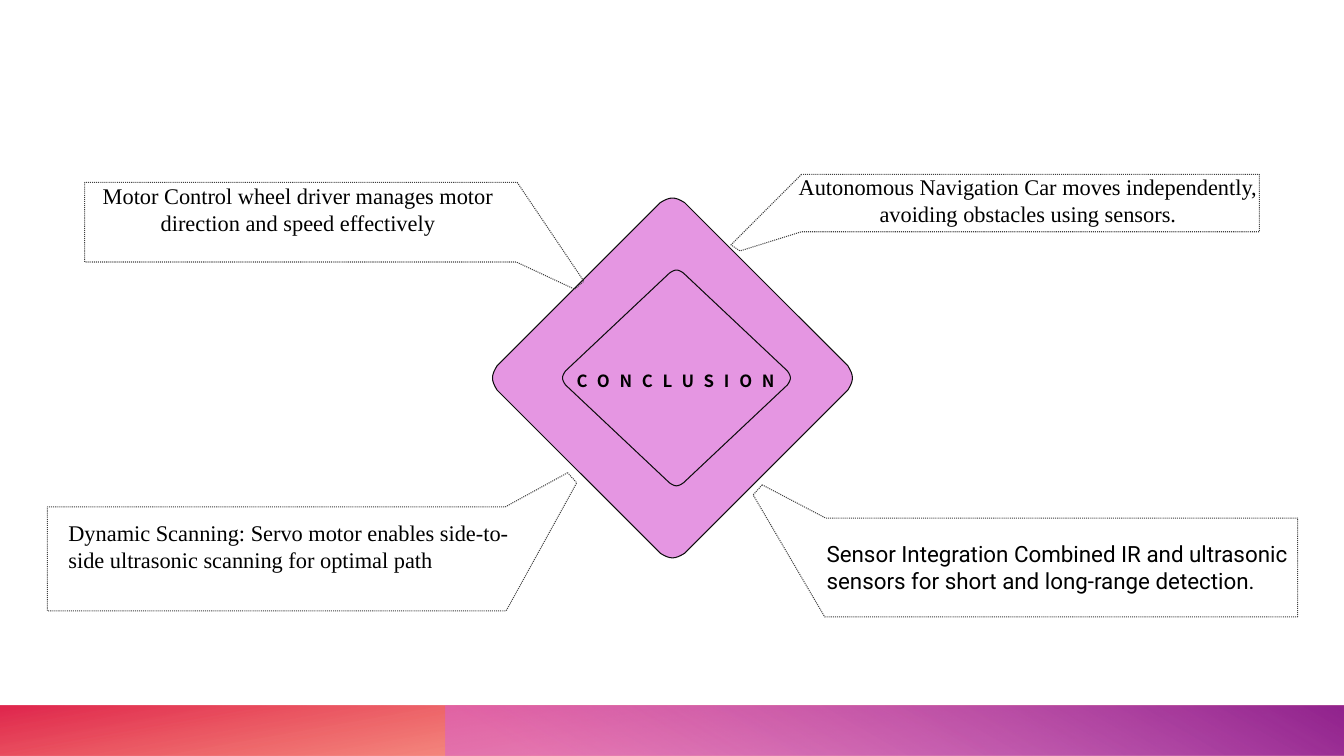
from lxml.etree import SubElement
from pptx import Presentation
from pptx.dml.color import RGBColor
from pptx.enum.dml import MSO_LINE
from pptx.enum.shapes import MSO_SHAPE
from pptx.enum.text import MSO_ANCHOR, MSO_AUTO_SIZE, PP_ALIGN
from pptx.oxml.ns import qn
from pptx.util import Inches, Pt

COLORS = {
    "orchid": "E596E2", "outline": "0D0D0D", "dots": "404040", "text": "000000",
    "orange": "FE4A00", "red": "DA002F", "pink": "D861D4", "purple": "92248E",
}
SERIF = "Times New Roman"


def color(name):
    return RGBColor.from_string(COLORS[name])


def format_span(span, font=SERIF, size=16, bold=False, spacing=None):
    span.font.name = font
    span.font.size = Pt(size)
    span.font.bold = bold
    span.font.color.rgb = color("text")
    if spacing:
        span.font._element.set("spc", str(spacing * 100))


def rounded_diamond(center_x, center_y, half_width, half_height, inset, spread, steps=8):
    points = []
    for across, down in ((0, -1), (1, 0), (0, 1), (-1, 0)):
        for step in range(steps + 1):
            t = step / steps
            bulge = 3 * t * (1 - t)
            reach_x = half_width - inset * (1 - bulge)
            reach_y = half_height - inset * (1 - bulge)
            side = spread * (2 * t - 1) * (1 - bulge / 6)
            points.append((center_x + across * reach_x - down * side,
                           center_y + down * reach_y + across * side))
    return points


class ConclusionSlide:
    """Holds the deck, its current page and the shared drawing style."""

    def __init__(self):
        self.deck = Presentation()
        self.deck.slide_width = Inches(13.33)
        self.deck.slide_height = Inches(7.5)
        self.page = self.deck.slides.add_slide(self.deck.slide_layouts[6])

    def band(self, left, width, stops, angle, rotation=0):
        band = self.page.shapes.add_shape(
            MSO_SHAPE.RECTANGLE, Inches(left), Inches(7), Inches(width), Inches(0.5))
        band.shadow.inherit = False
        band.line.fill.background()
        band.rotation = rotation
        band._element.spPr.find(qn("a:xfrm")).set("flipH", "1")
        band.fill.gradient()
        band.fill.gradient_angle = 360 - angle
        for stop, (position, name, opacity) in zip(band.fill.gradient_stops, stops):
            stop.position = position / 100
            stop.color.rgb = color(name)
            tint = stop._gs.find(qn("a:srgbClr"))
            SubElement(tint, qn("a:alpha")).set("val", str(opacity * 1000))

    def outline(self, points, line, fill=None, dash=None):
        corners = [(Inches(x), Inches(y)) for x, y in points]
        builder = self.page.shapes.build_freeform(*corners[0])
        builder.add_line_segments(corners[1:], close=True)
        shape = builder.convert_to_shape()
        shape.shadow.inherit = False
        if fill:
            shape.fill.solid()
            shape.fill.fore_color.rgb = color(fill)
        else:
            shape.fill.background()
        shape.line.color.rgb = color(line)
        shape.line.width = Pt(0.75)
        if dash:
            shape.line.dash_style = dash

    def text(self, words, left, top, width, height, align=PP_ALIGN.LEFT,
             heading=False, **style):
        box = self.page.shapes.add_textbox(
            Inches(left), Inches(top), Inches(width), Inches(height))
        frame = box.text_frame
        frame.word_wrap = True
        if heading:
            frame.vertical_anchor = MSO_ANCHOR.BOTTOM
            frame.margin_left = frame.margin_right = 0
            frame.margin_top = frame.margin_bottom = 0
        else:
            frame.auto_size = MSO_AUTO_SIZE.SHAPE_TO_FIT_TEXT
        para = frame.paragraphs[0]
        para.alignment = align
        span = para.add_run()
        span.text = words
        format_span(span, **style)

    def callout(self, points, words, place, **style):
        self.outline(points, "dots", dash=MSO_LINE.ROUND_DOT)
        self.text(words, *place, **style)


def main():
    slide = ConclusionSlide()
    slide.band(0, 13.33, [(14, "orange", 28), (100, "red", 85)], 100, rotation=180)
    slide.band(4.42, 8.92, [(9, "pink", 55), (99, "purple", 100)], 240)
    for diamond in ((6.67, 3.75, 1.8, 1.8, 0.06, 0.12),
                    (6.71, 3.75, 1.14, 1.08, 0.04, 0.07)):
        slide.outline(rounded_diamond(*diamond), "outline", fill="orchid")
    slide.text("CONCLUSION", 5.72, 3.61, 2.75, 0.27, heading=True,
               font="Noto Sans CJK SC", size=12, bold=True, spacing=7)
    slide.callout(
        [(7.95, 1.73), (7.25, 2.43), (7.34, 2.49), (7.95, 2.3), (12.49, 2.3), (12.49, 1.73)],
        "Autonomous Navigation Car moves independently, avoiding obstacles using sensors.",
        (7.52, 1.67, 5.35, 0.64), align=PP_ALIGN.CENTER)
    slide.callout(
        [(7.56, 4.81), (7.47, 4.91), (8.18, 6.12), (12.87, 6.12), (12.87, 5.14), (8.19, 5.14)],
        "Sensor Integration Combined IR and ultrasonic sensors for short and "
        "long-range detection.",
        (8.1, 5.31, 5, 0.64), font="Roboto")
    slide.callout(
        [(5.63, 4.69), (5.01, 5.03), (0.47, 5.03), (0.47, 6.06), (5.02, 6.06), (5.72, 4.79)],
        "Dynamic Scanning: Servo motor enables side-to-side ultrasonic scanning "
        "for optimal path",
        (0.58, 5.1, 4.85, 0.64))
    slide.callout(
        [(0.84, 1.81), (0.84, 2.6), (5.12, 2.6), (5.7, 2.87), (5.79, 2.79), (5.13, 1.81)],
        "Motor Control wheel driver manages motor direction and speed effectively",
        (0.86, 1.76, 4.19, 0.64), align=PP_ALIGN.CENTER)
    slide.deck.save("out.pptx")


if __name__ == "__main__":
    main()
